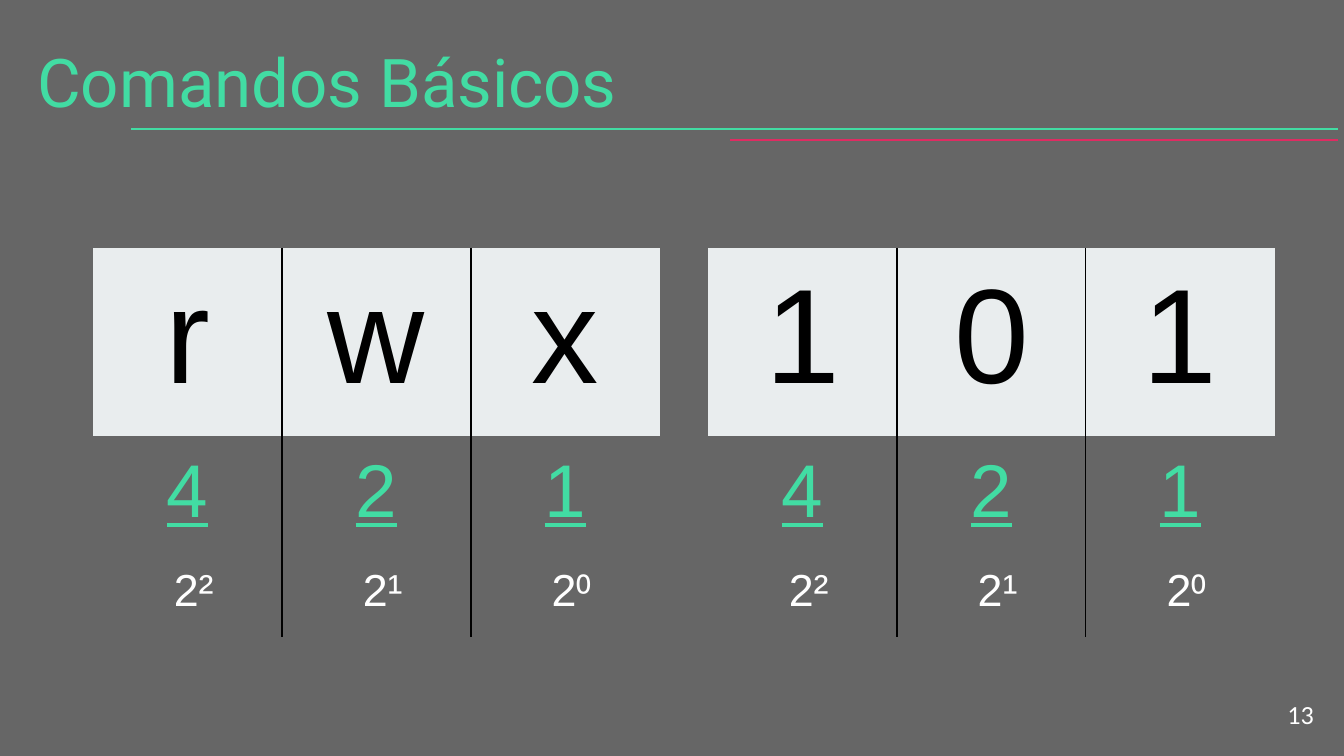
from lxml import etree
from pptx import Presentation
from pptx import util as u
from pptx.dml.color import RGBColor
from pptx.enum import shapes, text
from pptx.oxml.ns import qn

GREEN, PINK, WHITE, BLACK = "42DCA3", "DF2C62", "FFFFFF", "000000"
BACKDROP, BIT_FILL = "666666", "E9EDEE"
NO_STYLE = "{2D5ABB26-0587-4C30-8999-92F81FD0307C}"
PX = 914400 / 134.4


def paint(fill, color):
    fill.solid()
    fill.fore_color.rgb = RGBColor.from_string(color)


def write(holder, words, size, color, font="Arial", align="LEFT",
          anchor="TOP", underline=False):
    """Put one formatted line in a text box or a table cell."""
    frame = holder.text_frame
    frame.word_wrap = True
    frame.vertical_anchor = text.MSO_ANCHOR[anchor]
    for side in ("left", "right", "top", "bottom"):
        setattr(holder if holder is not frame and hasattr(holder, "margin_left") else frame,
                f"margin_{side}", u.Inches(0.1))
    line = frame.paragraphs[0]
    line.alignment = text.PP_ALIGN[align]
    run = line.add_run()
    run.text = words
    run.font.name, run.font.size, run.font.underline = font, u.Pt(size), underline
    paint(run.font.fill, color)


prs = Presentation()
prs.slide_width, prs.slide_height = round(1344 * PX), round(756 * PX)
slide = prs.slides.add_slide(prs.slide_layouts[6])
paint(slide.background.fill, BACKDROP)

# Rules under the title
for left, y, color in ((131, 129, GREEN), (730, 140, PINK)):
    rule = slide.shapes.add_connector(
        shapes.MSO_CONNECTOR.STRAIGHT,
        *(round(n * PX) for n in (left, y, 1338, y)))
    rule.line.width = u.Pt(0.75)
    paint(rule.line.fill, color)
    etree.SubElement(rule._element.spPr, qn("a:effectLst"))

# Page number and title
for box, words, style in (
    ((1246, 685, 81, 58), "13",
     dict(size=14, color=WHITE, font="Calibri", align="RIGHT", anchor="MIDDLE")),
    ((24, 27, 1206, 90), "Comandos Básicos",
     dict(size=36, color=GREEN, font="Roboto")),
):
    write(slide.shapes.add_textbox(*(round(n * PX) for n in box)), words, **style)

# Permission bits with their weights
COLUMN = 189
ROWS = (177, 110, 84)
STYLES = (
    dict(size=72, color=BLACK),
    dict(size=40, color=GREEN, underline=True),
    dict(size=24, color=WHITE),
)
WEIGHTS, POWERS = "421", (" 2²", " 2¹", " 2⁰")

for left, bits in ((93, "rwx"), (708, "101")):
    permissions = slide.shapes.add_table(
        3, 3, *(round(n * PX) for n in (left, 248, 3 * COLUMN, sum(ROWS)))).table
    permissions.first_row = permissions.horz_banding = False
    permissions._tbl.tblPr.find(qn("a:tableStyleId")).text = NO_STYLE
    for column in permissions.columns:
        column.width = round(COLUMN * PX)
    for r, (values, style) in enumerate(zip((bits, WEIGHTS, POWERS), STYLES)):
        permissions.rows[r].height = round(ROWS[r] * PX)
        for c, value in enumerate(values):
            cell = permissions.cell(r, c)
            write(cell, value, align="CENTER", **style)
            if r == 0:
                paint(cell.fill, BIT_FILL)
            else:
                cell.fill.background()
            edges = ["a:lnL"] * (c > 0) + ["a:lnR"] * (c < 2)
            for place, edge in enumerate(edges):
                border = etree.Element(qn(edge), w=str(u.Pt(0.75)))
                ink = etree.SubElement(border, qn("a:solidFill"))
                etree.SubElement(ink, qn("a:srgbClr"), val=BLACK)
                cell._tc.get_or_add_tcPr().insert(place, border)

prs.save("out.pptx")
